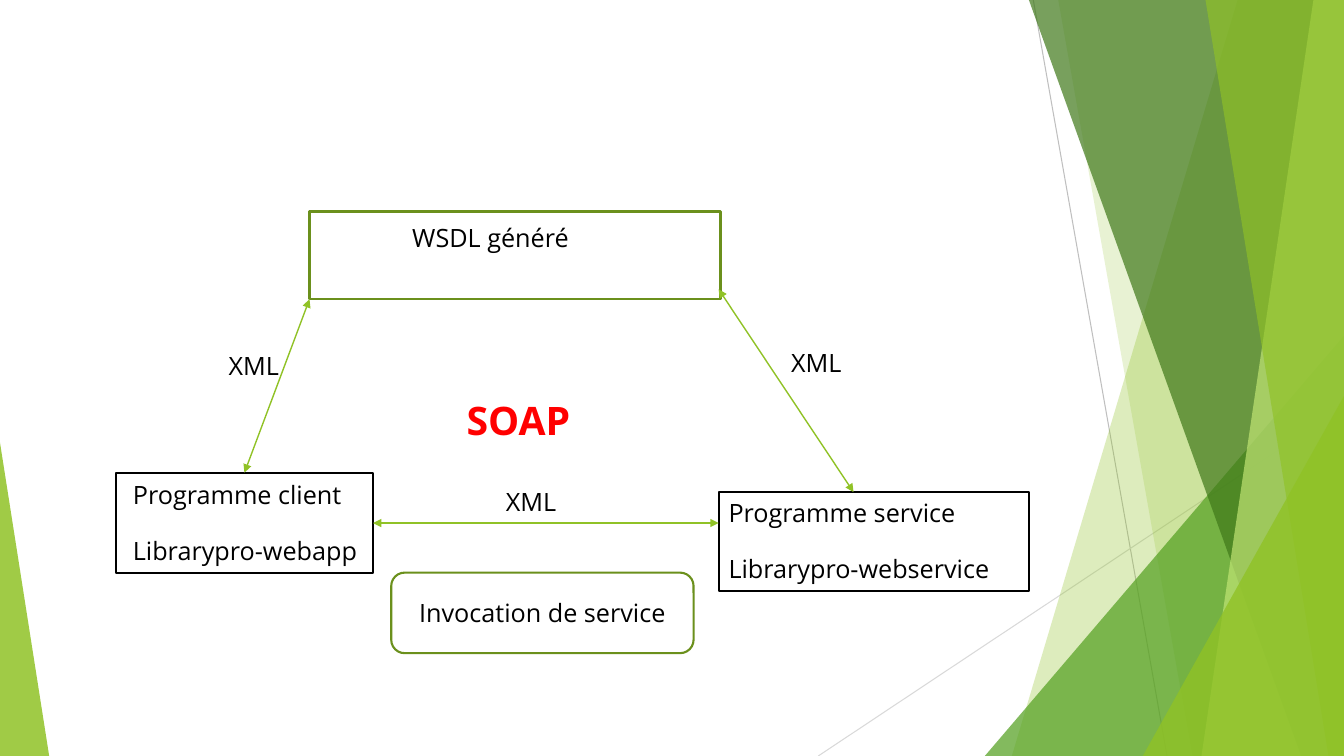
from lxml.etree import SubElement
from pptx import Presentation
from pptx.dml.color import RGBColor
from pptx.enum.shapes import MSO_CONNECTOR, MSO_SHAPE
from pptx.enum.text import MSO_ANCHOR, PP_ALIGN
from pptx.oxml.ns import qn
from pptx.util import Cm, Pt

WIDTH, HEIGHT = 33.87, 19.05
TOP, LEFT = 0, 1  # connection sites of a rectangle
RIGHT = 3
COLORS = {
    "white": "FFFFFF", "black": "000000", "red": "FF0000",
    "lime": "90C226", "pale": "C0E474", "leaf": "54A021",
    "forest": "3F7819", "olive": "6B901C",
    "grey": "BFBFBF", "light grey": "D9D9D9",
}


def rgb(name):
    return RGBColor.from_string(COLORS[name])


def write(frame, *lines, size=18, color="black", bold=False,
          align=PP_ALIGN.LEFT, gap=0):
    """Fill a text frame with one paragraph per line, gap points apart."""
    frame.word_wrap = True
    for index, line in enumerate(lines):
        paragraph = frame.add_paragraph() if index else frame.paragraphs[0]
        paragraph.alignment = align
        paragraph.space_before = Pt(gap if index else 0)
        run = paragraph.add_run()
        run.text = line
        run.font.name = "Open Sans"
        run.font.size = Pt(size)
        run.font.bold = bold
        run.font.color.rgb = rgb(color)


class Diagram:
    def __init__(self, slide):
        self.shapes = slide.shapes

    def paint(self, shape, fill, opacity=100, outline=None):
        shape.shadow.inherit = False
        shape.fill.solid()
        shape.fill.fore_color.rgb = rgb(fill)
        if opacity < 100:
            color = shape.element.spPr.find(qn("a:solidFill"))[0]
            SubElement(color, qn("a:alpha"), val=str(opacity * 1000))
        if outline:
            shape.line.color.rgb = rgb(outline)
            shape.line.width = Pt(1.5)
        else:
            shape.line.fill.background()

    def band(self, top_x, bottom_x, fill, opacity):
        """Draw a slanted band that reaches the right edge of the slide."""
        builder = self.shapes.build_freeform(Cm(top_x), 0)
        corners = [(WIDTH, 0), (WIDTH, HEIGHT), (bottom_x, HEIGHT)]
        builder.add_line_segments([(Cm(x), Cm(y)) for x, y in corners])
        self.paint(builder.convert_to_shape(), fill, opacity)

    def wedge(self, left, top, width, apex, fill, opacity):
        """Draw a triangle that stands on the bottom edge of the slide."""
        triangle = self.shapes.add_shape(
            MSO_SHAPE.ISOSCELES_TRIANGLE,
            Cm(left), Cm(top), Cm(width), Cm(HEIGHT - top))
        triangle.adjustments[0] = apex
        self.paint(triangle, fill, opacity)

    def box(self, place, *lines, outline="black", kind=MSO_SHAPE.RECTANGLE,
            inset=(0.25, 0.13), anchor=MSO_ANCHOR.TOP, **style):
        box = self.shapes.add_shape(kind, *map(Cm, place))
        self.paint(box, "white", outline=outline)
        frame = box.text_frame
        frame.vertical_anchor = anchor
        frame.margin_left, frame.margin_top = map(Cm, inset)
        frame.margin_right = frame.margin_bottom = 0
        write(frame, *lines, **style)
        return box

    def label(self, place, text, **style):
        write(self.shapes.add_textbox(*map(Cm, place)).text_frame,
              text, **style)

    def line(self, start, end, color, width):
        line = self.shapes.add_connector(
            MSO_CONNECTOR.STRAIGHT, *map(Cm, (*start, *end)))
        line.line.color.rgb = rgb(color)
        line.line.width = Pt(width)
        SubElement(line.element.spPr, qn("a:effectLst"))
        return line

    def exchange(self, start, end):
        """Draw a line with an arrowhead at both ends."""
        arrow = self.line(start, end, "lime", 1)
        outline = arrow.element.spPr.find(qn("a:ln"))
        for tip in ("a:headEnd", "a:tailEnd"):
            SubElement(outline, qn(tip), type="triangle")
        return arrow


def draw_backdrop(diagram):
    diagram.line((26.04, 0), (29.41, HEIGHT), "grey", 0.75)
    diagram.line((WIDTH, 10.24), (20.62, HEIGHT), "light grey", 0.75)
    diagram.band(31.19, 25.5, "lime", 30)
    diagram.band(26.67, 30.05, "lime", 20)
    diagram.wedge(24.82, 8.46, 9.05, 1, "leaf", 72)
    diagram.band(25.93, 32.79, "forest", 70)
    diagram.band(33.1, 30.28, "pale", 70)
    diagram.band(30.38, 33.48, "lime", 65)
    diagram.wedge(28.8, 9.98, 5.07, 1, "lime", 80)
    diagram.wedge(0, 11.15, 1.24, 0, "lime", 85)


def draw_soap_exchange(diagram):
    client = diagram.box((2.92, 11.91, 6.48, 2.54), "Programme client",
                         "Librarypro-webapp", inset=(0.43, 0.18), gap=18.4)
    diagram.box((18.11, 12.4, 7.82, 2.49), "Programme service",
                "Librarypro-webservice", gap=18.4)
    diagram.box((9.86, 14.43, 7.62, 2.03), "Invocation de service",
                outline="olive", kind=MSO_SHAPE.ROUNDED_RECTANGLE,
                inset=(0, 0), anchor=MSO_ANCHOR.MIDDLE,
                align=PP_ALIGN.CENTER)
    diagram.box((7.8, 5.33, 10.36, 2.21), "WSDL généré", outline="olive",
                inset=(2.59, 0.28))

    client_service = diagram.exchange((9.4, 13.18), (18.11, 13.18))
    client_service.begin_connect(client, RIGHT)
    client_wsdl = diagram.exchange((6.16, 11.91), (7.8, 7.54))
    client_wsdl.begin_connect(client, TOP)
    diagram.exchange((18.11, 7.29), (21.51, 12.4))

    for left, top in ((12.5, 12.14), (5.51, 8.71), (19.69, 8.64)):
        diagram.label((left, top, 2.29, 1.02), "XML")
    diagram.label((11.51, 9.86, 4.17, 1.45), "SOAP",
                  size=28, color="red", bold=True)


def main():
    presentation = Presentation()
    presentation.slide_width = Cm(WIDTH)
    presentation.slide_height = Cm(HEIGHT)
    blank = presentation.slide_layouts[6]
    diagram = Diagram(presentation.slides.add_slide(blank))
    draw_backdrop(diagram)
    draw_soap_exchange(diagram)
    presentation.save("out.pptx")


if __name__ == "__main__":
    main()
